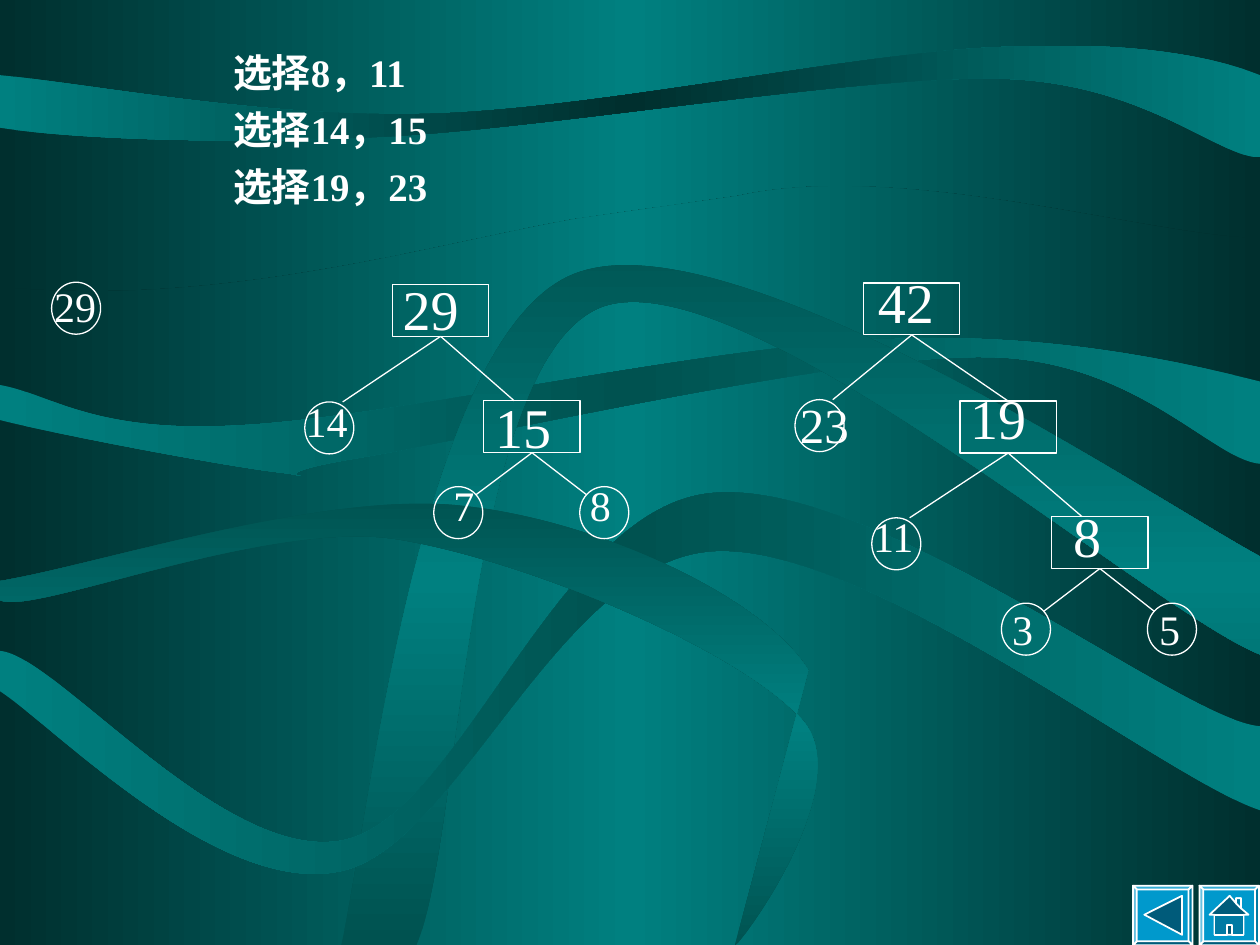
"""Build a slide showing Huffman tree merging steps over a ribbon background."""
from copy import deepcopy
from dataclasses import dataclass
from typing import Optional

from lxml.etree import SubElement
from pptx import Presentation
from pptx.dml.color import RGBColor
from pptx.enum.shapes import MSO_CONNECTOR, MSO_SHAPE
from pptx.enum.text import MSO_ANCHOR, MSO_AUTO_SIZE, PP_ALIGN
from pptx.oxml.ns import qn
from pptx.util import Pt

FONT = "Times New Roman"
WHITE, DARK, MID, TEAL, BLUE = "FFFFFF", "002F2E", "005250", "008080", "0099CC"
NODE_HEIGHT = 29.7
OUTER, INNER, RIGHT, BOX = (21.6, 0), (24, 4.7), (4, 4.7), (17.3, 0)


@dataclass
class Ribbon:
    colors: tuple
    angle: int
    start: tuple
    segments: list


@dataclass
class Node:
    left: float
    top: float
    parent: Optional[int] = None
    touch: Optional[tuple] = None
    is_leaf: bool = True


@dataclass
class Label:
    text: str
    size: int
    left: float
    top: float
    width: float = 65.5


RIBBONS = [
    Ribbon((DARK, TEAL, DARK), 0, (0, 164), [
        (128, 176, 245, 140, 330, 125), (330, 125, 408, 114, 422, 112),
        (516, 91, 660, 136, 720, 136), (720, 540), (0, 540), (0, 540, 0, 164, 0, 164)]),
    Ribbon((TEAL, DARK, TEAL), 0, (0, 43), [
        (0, 73), (37, 79, 127, 83, 222, 78), (317, 73, 489, 43, 572, 45),
        (654, 47, 696, 90, 720, 90), (720, 43), (695, 33, 649, 23, 570, 27),
        (491, 30, 343, 62, 248, 65), (153, 68, 52, 48, 0, 43)]),
    Ribbon((TEAL, MID, TEAL), 0, (0, 220), [
        (0, 240), (27, 247, 126, 266, 160, 270), (194, 274, 137, 273, 203, 262),
        (270, 251, 475, 203, 562, 204), (648, 204, 693, 263, 720, 265), (720, 218),
        (684, 209, 602, 189, 505, 194), (408, 197, 221, 239, 137, 243),
        (53, 248, 29, 225, 0, 220)]),
    Ribbon((MID, TEAL, MID), 90, (195, 540), [
        (210, 476, 239, 194, 327, 157), (414, 120, 654, 282, 720, 318), (720, 374),
        (657, 349, 426, 148, 345, 175), (265, 203, 264, 480, 238, 540), (195, 540)]),
    Ribbon((TEAL, MID, TEAL), 0, (0, 372), [
        (0, 395), (32, 416, 125, 512, 194, 498), (261, 485, 319, 321, 407, 315),
        (495, 309, 667, 446, 720, 463), (720, 415), (675, 412, 498, 271, 405, 282),
        (318, 292, 264, 465, 197, 480), (129, 495, 32, 374, 0, 372)]),
    Ribbon((MID, TEAL, MID), 90, (0, 332), [
        (0, 343), (19, 352, 150, 297, 226, 308), (302, 320, 426, 373, 459, 412),
        (491, 450, 419, 545, 420, 540), (462, 383), (436, 341, 341, 297, 264, 289),
        (186, 280, 55, 323, 0, 332)]),
]

NODES = [
    Node(29.5, 161.3), Node(224.3, 162.5, is_leaf=False),
    Node(174.2, 229.7, 1, OUTER), Node(276.5, 229, 1, BOX, False),
    Node(247.9, 278.1, 3, INNER), Node(331.3, 278.1, 3, RIGHT),
    Node(493.5, 161.7, is_leaf=False), Node(454.3, 228.4, 6, OUTER),
    Node(548.6, 229.2, 6, None, False), Node(498.2, 295.9, 8, OUTER),
    Node(601, 295.2, 8, BOX, False), Node(572.3, 344.7, 10, INNER),
    Node(655.7, 344.7, 10, RIGHT),
]

LABELS = [
    Label("3\t5", 24, 571.2, 346.8, 131), Label("29", 24, 23.8, 162.3),
    Label("15", 32, 275.8, 228.2), Label("7\t8", 24, 252, 275.9, 131),
    Label("29", 32, 223, 160.6), Label("14", 24, 167.6, 228.2, 54.7),
    Label("8", 32, 606.2, 290.2), Label("42", 32, 494.6, 157, 54.7),
    Label("23", 28, 450, 228.2, 54.7), Label("19", 32, 547.2, 223.2),
    Label("11", 24, 491.8, 294, 54.7),
]

FRAME = [
    ("norm", [(0, 0), (34, 0), (34, 34), (0, 34)]),
    ("lightenLess", [(0, 0), (34, 0), (31.8, 2.2), (2.2, 2.2)]),
    ("darkenLess", [(34, 0), (34, 34), (31.8, 31.8), (31.8, 2.2)]),
    ("darken", [(34, 34), (0, 34), (2.2, 31.8), (31.8, 31.8)]),
    ("lighten", [(0, 34), (0, 0), (2.2, 2.2), (2.2, 31.8)]),
]
CHIMNEY = [(20.9, 10.1), (20.9, 7.2), (23.8, 7.2), (23.8, 13)]
HOME = [
    ("darken", [(17.3, 5.8), *CHIMNEY, (28.1, 16.6), (25.2, 16.6), (25.2, 28.1),
                (8.6, 28.1), (8.6, 16.6), (5.8, 16.6)]),
    ("darkenLess", CHIMNEY),
    ("darkenLess", [(15.8, 22.3), (18.7, 22.3), (18.7, 28.1), (25.2, 28.1),
                    (25.2, 16.6), (8.6, 16.6), (8.6, 28.1), (15.8, 28.1)]),
]
BACK = [("darken", [(6.5, 16.6), (28.1, 5.8), (28.1, 28.1)])]


def rgb(color: str) -> RGBColor:
    return RGBColor.from_string(color)


def set_gradient(fill, root, colors: tuple, angle: int) -> None:
    fill.gradient()
    fill.gradient_angle = angle
    stops = root.xpath(".//a:gsLst")[0]
    stops.append(deepcopy(stops[0]))
    for stop, color, position in zip(fill.gradient_stops, colors, (0, 0.5, 1)):
        stop.color.rgb = rgb(color)
        stop.position = position


def set_line(sp, width: float) -> None:
    sp.line.color.rgb = rgb(WHITE)
    sp.line.width = Pt(width)


def format_paragraph(p, size: float, bold: bool = False) -> None:
    p.alignment = PP_ALIGN.JUSTIFY
    for r in p.runs:
        r.font.name = FONT
        r.font.size = Pt(size)
        r.font.bold = bold
        r.font.color.rgb = rgb(WHITE)


def draw_outline(s, contours: list, left: float = 0, top: float = 0):
    contours = [[(Pt(left + x), Pt(top + y)) for x, y in points] for points in contours]
    builder = s.shapes.build_freeform(*contours[0][0], scale=1.0)
    builder.add_line_segments(contours[0][1:], close=True)
    for points in contours[1:]:
        builder.move_to(*points[0])
        builder.add_line_segments(points[1:], close=True)
    sp = builder.convert_to_shape()
    sp.shadow.inherit = False
    return sp


def draw_ribbon(s, ribbon: Ribbon) -> None:
    points = [ribbon.start]
    for segment in ribbon.segments:
        points += zip(segment[::2], segment[1::2])
    sp = draw_outline(s, [points])
    lines = iter(sp._element.xpath(".//a:lnTo"))
    for segment in ribbon.segments:
        first = next(lines)
        if len(segment) == 6:
            first.tag = qn("a:cubicBezTo")
            for line in (next(lines), next(lines)):
                first.append(line[0])
                line.getparent().remove(line)
    sp.line.fill.background()
    set_gradient(sp.fill, sp._element, ribbon.colors, ribbon.angle)


def draw_button(s, icon: list, left: float) -> None:
    shades, contours = zip(*FRAME, *icon)
    sp = draw_outline(s, contours, left, 506.1)
    whole = sp._element.xpath(".//a:path")[0]
    shade = iter(shades)
    for part in list(whole):
        if part.tag == qn("a:moveTo"):
            face = SubElement(whole.getparent(), qn("a:path"), dict(whole.attrib))
            face.set("fill", next(shade))
        face.append(part)
    whole.getparent().remove(whole)
    sp.fill.solid()
    sp.fill.fore_color.rgb = rgb(BLUE)
    set_line(sp, 1)


def draw_node(s, node: Node):
    kind, width = (MSO_SHAPE.OVAL, 28) if node.is_leaf else (MSO_SHAPE.RECTANGLE, 55)
    sp = s.shapes.add_shape(kind, Pt(node.left), Pt(node.top), Pt(width), Pt(NODE_HEIGHT))
    sp.shadow.inherit = False
    sp.fill.background()
    set_line(sp, 0.75)
    return sp


def draw_label(s, label: Label) -> None:
    box = s.shapes.add_textbox(Pt(label.left), Pt(label.top), Pt(label.width), Pt(37.2))
    tf = box.text_frame
    tf.word_wrap = True
    p = tf.paragraphs[0]
    p.text = label.text
    p.line_spacing = 0.8
    format_paragraph(p, label.size)
    if "\t" in label.text:
        tabs = SubElement(p._p.get_or_add_pPr(), qn("a:tabLst"))
        SubElement(tabs, qn("a:tab"), pos=str(Pt(78)), algn="l")
        if label.text.startswith("3"):
            tabs[0].set("pos", str(Pt(84)))


def draw_edge(s, parent, child, node: Node) -> None:
    dx, dy = node.touch or (0, 0)
    edge = s.shapes.add_connector(MSO_CONNECTOR.STRAIGHT, 0, 0,
                                  Pt(node.left + dx), Pt(node.top + dy))
    edge.begin_connect(parent, 2)
    if node.touch is None:
        edge.end_connect(child, 0)
    set_line(edge, 0.75)
    SubElement(edge._element.spPr, qn("a:effectLst"))


def write_steps(body) -> None:
    body.left, body.top, body.width, body.height = Pt(54), Pt(24), Pt(612), Pt(102)
    tf = body.text_frame
    tf.auto_size = MSO_AUTO_SIZE.NONE
    tf.vertical_anchor = MSO_ANCHOR.TOP
    tf.text = "选择8，11\n选择14，15\n选择19，23"
    for p in tf.paragraphs:
        p.level = 2
        p.space_before = Pt(6)
        format_paragraph(p, 22.2, bold=True)
        p_pr = p._p.get_or_add_pPr()
        p_pr.set("marL", str(Pt(90)))
        p_pr.set("indent", str(Pt(-18)))
        SubElement(p_pr, qn("a:buNone"))


def main() -> None:
    prs = Presentation()
    prs.slide_width, prs.slide_height = Pt(720), Pt(540)
    s = prs.slides.add_slide(prs.slide_layouts[1])
    set_gradient(s.background.fill, s._element, (DARK, TEAL, DARK), 0)
    title, body = s.placeholders
    title._element.getparent().remove(title._element)
    for ribbon in RIBBONS:
        draw_ribbon(s, ribbon)
    s.shapes._spTree.append(body._element)
    write_steps(body)
    for label in LABELS:
        draw_label(s, label)
    shapes = [draw_node(s, node) for node in NODES]
    for node, child in zip(NODES, shapes):
        if node.parent is not None:
            draw_edge(s, shapes[node.parent], child, node)
    draw_button(s, HOME, 685.4)
    draw_button(s, BACK, 647.4)
    prs.save("out.pptx")


if __name__ == "__main__":
    main()
